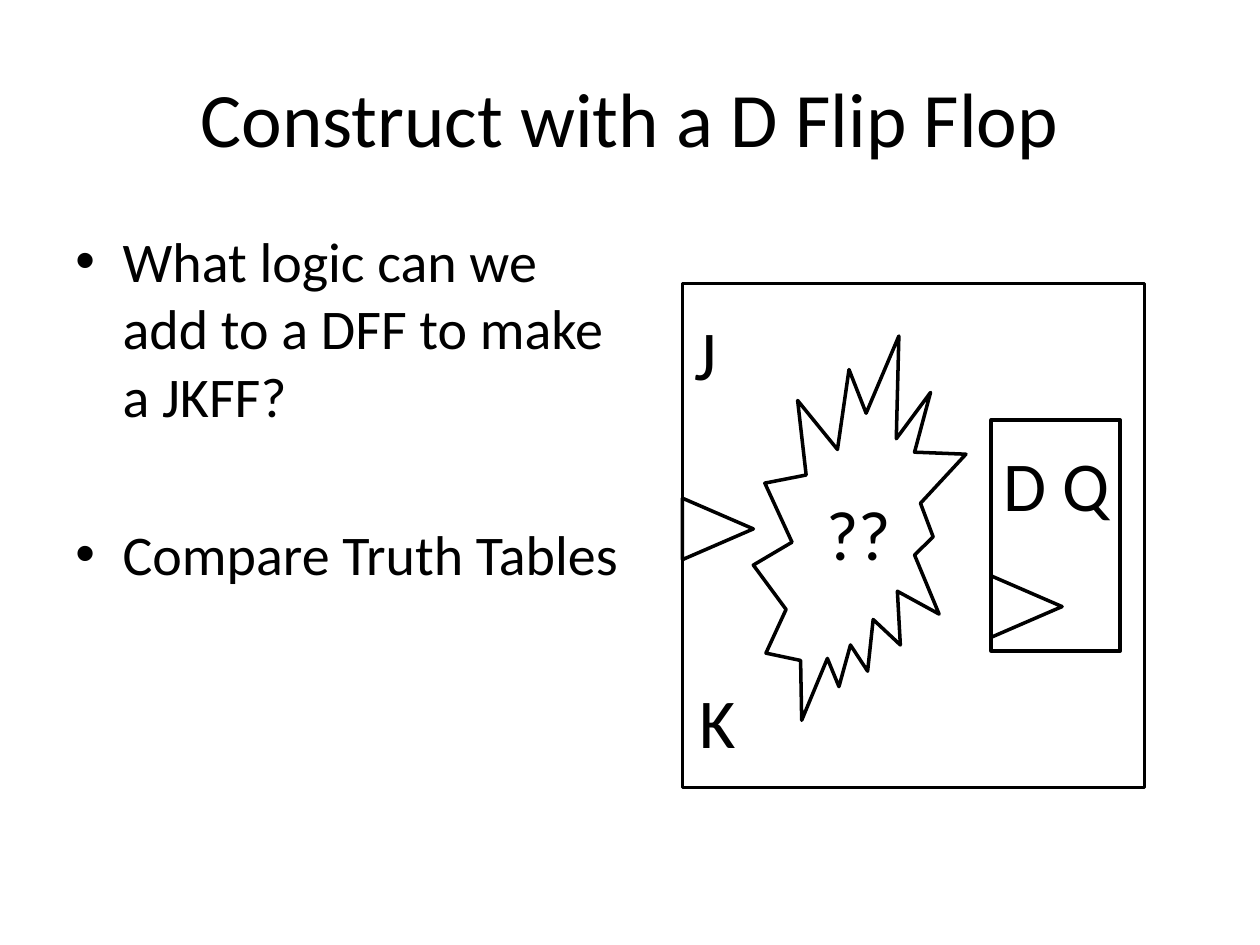
from dataclasses import dataclass

from lxml import etree
from pptx import Presentation, util as u
from pptx.dml.color import RGBColor
from pptx.enum import shapes as s, text as t
from pptx.oxml.ns import qn


@dataclass(frozen=True)
class Theme:
    font: str = "Calibri"
    ink: RGBColor = RGBColor(0, 0, 0)
    paper: RGBColor = RGBColor(255, 255, 255)
    title_size: int = 44
    body_size: int = 32
    label_size: int = 40
    outline: int = 2


THEME = Theme()
CELL = u.Inches(1) / 12
COLUMNS, ROWS = 120, 90
LABEL_HEIGHT = 9.2


def cells(*lengths):
    return [u.Emu(round(length * CELL)) for length in lengths]


def style(paragraph, size):
    paragraph.font.name = THEME.font
    paragraph.font.size = u.Pt(size)
    paragraph.font.color.rgb = THEME.ink


def add_text(slide, area, lines, size, wrap=True):
    frame = slide.shapes.add_textbox(*cells(*area)).text_frame
    frame.text = "\n".join(lines)
    frame.word_wrap = wrap
    return frame


def add_title(slide, area, title):
    frame = add_text(slide, area, [title], THEME.title_size)
    frame.vertical_anchor = t.MSO_ANCHOR.MIDDLE
    frame.paragraphs[0].alignment = t.PP_ALIGN.CENTER
    style(frame.paragraphs[0], THEME.title_size)


def add_bullets(slide, area, points, gap):
    frame = add_text(slide, area, points, THEME.body_size)
    for index, point in enumerate(frame.paragraphs):
        properties = point._p.get_or_add_pPr()
        indent = u.Inches(0.375)
        properties.set("marL", str(indent))
        properties.set("indent", str(-indent))
        etree.SubElement(properties, qn("a:buFont")).set("typeface", "Arial")
        etree.SubElement(properties, qn("a:buChar")).set("char", "•")
        point.space_before = u.Pt(gap if index else 0)
        style(point, THEME.body_size)


def add_label(slide, left, top, width, label):
    frame = add_text(slide, (left, top, width, LABEL_HEIGHT), [label],
                     THEME.label_size, wrap=False)
    frame.auto_size = t.MSO_AUTO_SIZE.SHAPE_TO_FIT_TEXT
    style(frame.paragraphs[0], THEME.label_size)


def add_outline(slide, kind, area, filled=False):
    outline = slide.shapes.add_shape(kind, *cells(*area))
    outline.shadow.inherit = False
    outline.line.color.rgb = THEME.ink
    outline.line.width = u.Pt(THEME.outline)
    if filled:
        outline.fill.solid()
        outline.fill.fore_color.rgb = THEME.paper
    else:
        outline.fill.background()
    return outline


def add_clock(slide, left, top):
    clock = add_outline(slide, s.MSO_SHAPE.ISOSCELES_TRIANGLE,
                        (left, top, 5.85, 6.75), filled=True)
    clock.rotation = 90


def add_jk_flip_flop(slide):
    add_outline(slide, s.MSO_SHAPE.RECTANGLE, (65, 27, 44, 48))
    add_label(slide, 65, 29, 4.6, "J")
    add_label(slide, 65.4, 64, 5.9, "K")
    add_clock(slide, 65.45, 47)


def add_d_flip_flop(slide):
    add_outline(slide, s.MSO_SHAPE.RECTANGLE, (94.4, 40, 12.3, 22))
    add_label(slide, 94.4, 41.5, 12.6, "D Q")
    add_clock(slide, 94.85, 54.4)


def add_unknown_logic(slide):
    add_outline(slide, s.MSO_SHAPE.EXPLOSION2, (71.75, 32, 20.25, 36.6), filled=True)
    add_label(slide, 77.5, 46.1, 8.6, "??")


def main():
    deck = Presentation()
    deck.slide_width, deck.slide_height = cells(COLUMNS, ROWS)
    slide = deck.slides.add_slide(deck.slide_layouts[6])
    add_title(slide, (6, 3.6, 108, 15), "Construct with a D Flip Flop")
    add_bullets(slide, (6, 21, 55, 59.4), [
        "What logic can we add to a DFF to make a JKFF?",
        "Compare Truth Tables",
    ], gap=52)
    add_jk_flip_flop(slide)
    add_d_flip_flop(slide)
    add_unknown_logic(slide)
    deck.save("out.pptx")


if __name__ == "__main__":
    main()
